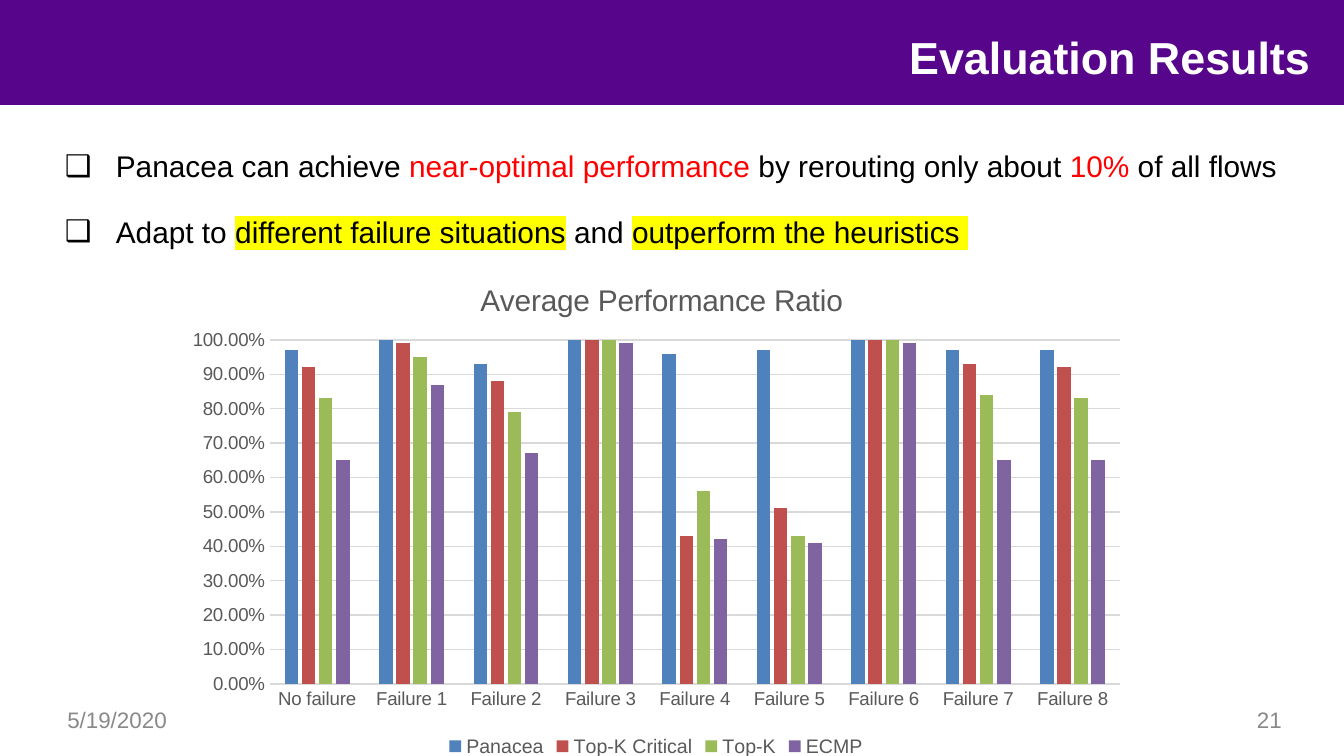
from dataclasses import dataclass
from lxml.etree import SubElement as sub
from pptx import Presentation
from pptx.chart.data import CategoryChartData as ChartData
from pptx.dml.color import RGBColor as Color
from pptx.enum.chart import XL_CHART_TYPE as Kind, XL_LEGEND_POSITION as Side
from pptx.enum.chart import XL_TICK_MARK as Tick
from pptx.enum.shapes import MSO_SHAPE as Shape
from pptx.enum.text import MSO_ANCHOR as Anchor, PP_ALIGN as Align
from pptx.oxml import parse_xml
from pptx.oxml.ns import qn
from pptx.util import Pt

SCALE = 9144000 / 1344


@dataclass(frozen=True)
class Theme:
    font: str = "Arial"
    band: str = "57068C"
    white: str = "FFFFFF"
    ink: str = "000000"
    red: str = "FF0000"
    mark: str = "FFFF00"
    foot: str = "898989"
    label: str = "595959"
    grid: str = "D9D9D9"
    bars: tuple = ("4F81BD", "C0504D", "9BBB59", "8064A2")
    head: int = 24
    body: int = 16
    small: int = 12
    key: float = 10.5
    tick: int = 10


LOOK = Theme()

POINTS = [
    [("Panacea can achieve ", LOOK.ink, None),
     ("near-optimal performance", LOOK.red, None),
     (" by rerouting only about ", LOOK.ink, None),
     ("10%", LOOK.red, None),
     (" of all flows", LOOK.ink, None)],
    [("Adapt to ", LOOK.ink, None),
     ("different failure situations", LOOK.ink, LOOK.mark),
     (" and ", LOOK.ink, None),
     ("outperform the heuristics ", LOOK.ink, LOOK.mark)],
]

CASES = ["No failure"] + [f"Failure {n}" for n in range(1, 9)]
RATES = {
    "Panacea": (0.97, 1, 0.93, 1, 0.96, 0.97, 1, 0.97, 0.97),
    "Top-K Critical": (0.92, 0.99, 0.88, 1, 0.43, 0.51, 1, 0.93, 0.92),
    "Top-K": (0.83, 0.95, 0.79, 1, 0.56, 0.43, 1, 0.84, 0.83),
    "ECMP": (0.65, 0.87, 0.67, 0.99, 0.42, 0.41, 0.99, 0.65, 0.65),
}
CHART = (173, 251, 966, 512)
PLOT = (270, 340, 850, 344)
TITLE = (475, 276)


def px(n):
    return round(n * SCALE)


def put(item, **vals):
    for name, val in vals.items():
        setattr(item, name, val)


def place(shape, *box):
    put(shape, **dict(zip(("left", "top", "width", "height"), map(px, box))))


def style(font, size, hue, bold=False):
    put(font, size=Pt(size), bold=bold, name=LOOK.font)
    font.color.rgb = Color.from_string(hue)


def paint(fill, hue):
    fill.solid()
    fill.fore_color.rgb = Color.from_string(hue)


def trace(line, hue):
    line.width = Pt(0.75)
    line.color.rgb = Color.from_string(hue)


def write(par, text, size, hue, mark=None, bold=False):
    run = par.add_run()
    run.text = text
    run.font.color.rgb = Color.from_string(hue)
    if mark:
        light = sub(run.font.fill._xPr, qn("a:highlight"))
        sub(light, qn("a:srgbClr"), val=mark)
    style(run.font, size, hue, bold)


def frame(shape, inset, anchor):
    text = shape.text_frame
    put(text, word_wrap=True, vertical_anchor=anchor)
    if not inset:
        put(text, margin_left=0, margin_right=0, margin_top=0, margin_bottom=0)
    return text


def add_head(slide, text):
    title = slide.shapes.title
    place(title, 302, 23, 1008, 67)
    par = frame(title, False, Anchor.MIDDLE).paragraphs[0]
    par.alignment = Align.RIGHT
    write(par, text, LOOK.head, LOOK.white, bold=True)
    band = slide.shapes.add_shape(Shape.RECTANGLE, 0, 0, px(1344), px(105))
    band.shadow.inherit = False
    paint(band.fill, LOOK.band)
    band.line.fill.background()
    title._element.addprevious(band._element)


def add_note(slide, text, left, align):
    box = slide.shapes.add_textbox(*map(px, (left, 700, 313, 40)))
    par = frame(box, True, Anchor.MIDDLE).paragraphs[0]
    par.alignment = align
    write(par, text, LOOK.small, LOOK.foot)


def add_list(slide, points):
    box = slide.shapes.add_textbox(*map(px, (65, 148, 1215, 100)))
    text = frame(box, False, Anchor.TOP)
    for i, parts in enumerate(points):
        par = text.add_paragraph() if i else text.paragraphs[0]
        props = par._p.get_or_add_pPr()
        props.set("marL", str(px(51)))
        props.set("indent", str(-px(51)))
        put(par, space_before=Pt(13 if i else 0), space_after=Pt(3))
        sub(props, qn("a:buFont"), typeface=LOOK.font)
        sub(props, qn("a:buChar"), char="❑")
        for words, hue, mark in parts:
            write(par, words, LOOK.body, hue, mark)


def pin(node, spot, slot, inner=False):
    for old in node.findall(qn("c:layout")):
        node.remove(old)
    space = "http://schemas.openxmlformats.org/drawingml/2006/chart"
    lay = parse_xml(f'<c:layout xmlns:c="{space}"/>')
    form = sub(lay, qn("c:manualLayout"))
    if inner:
        sub(form, qn("c:layoutTarget"), val="inner")
    for axis in "xy":
        sub(form, qn(f"c:{axis}Mode"), val="edge")
    left, top, wide, high = CHART
    shares = [(spot[0] - left) / wide, (spot[1] - top) / high]
    if inner:
        shares += [spot[2] / wide, spot[3] / high]
    for name, share in zip("xywh", shares):
        sub(form, qn(f"c:{name}"), val=f"{share:.4f}")
    node.insert(slot, lay)


def add_chart(slide):
    data = ChartData(number_format="0.00%")
    data.categories = CASES
    for name, vals in RATES.items():
        data.add_series(name, vals)
    box = map(px, CHART)
    chart = slide.shapes.add_chart(Kind.COLUMN_CLUSTERED, *box, data).chart
    style(chart.font, LOOK.tick, LOOK.ink)
    chart.has_title = True
    title = chart.chart_title
    write(title.text_frame.paragraphs[0], "Average Performance Ratio",
          LOOK.body, LOOK.label)
    pin(title._element, TITLE, 1)
    plot = chart.plots[0]
    put(plot, gap_width=219, overlap=-27, vary_by_categories=False)
    for bar, hue in zip(plot.series, LOOK.bars):
        paint(bar.format.fill, hue)
    pin(chart._chartSpace.chart.plotArea, PLOT, 0, True)
    for axis in (chart.category_axis, chart.value_axis):
        put(axis, major_tick_mark=Tick.NONE, minor_tick_mark=Tick.NONE)
        style(axis.tick_labels.font, LOOK.tick, LOOK.label)
    trace(chart.category_axis.format.line, LOOK.grid)
    rate = chart.value_axis
    put(rate, minimum_scale=0, maximum_scale=1, major_unit=0.1,
        has_major_gridlines=True)
    put(rate.tick_labels, number_format="0.00%", number_format_is_linked=False)
    rate.format.line.fill.background()
    trace(rate.major_gridlines.format.line, LOOK.grid)
    chart.has_legend = True
    put(chart.legend, position=Side.BOTTOM, include_in_layout=False)
    style(chart.legend.font, LOOK.key, LOOK.label)


def main():
    deck = Presentation()
    put(deck, slide_width=px(1344), slide_height=px(756))
    slide = deck.slides.add_slide(deck.slide_layouts[5])
    add_head(slide, "Evaluation Results")
    add_note(slide, "5/19/2020", 54, Align.LEFT)
    add_note(slide, "21", 982, Align.RIGHT)
    add_list(slide, POINTS)
    add_chart(slide)
    deck.save("out.pptx")


if __name__ == "__main__":
    main()
